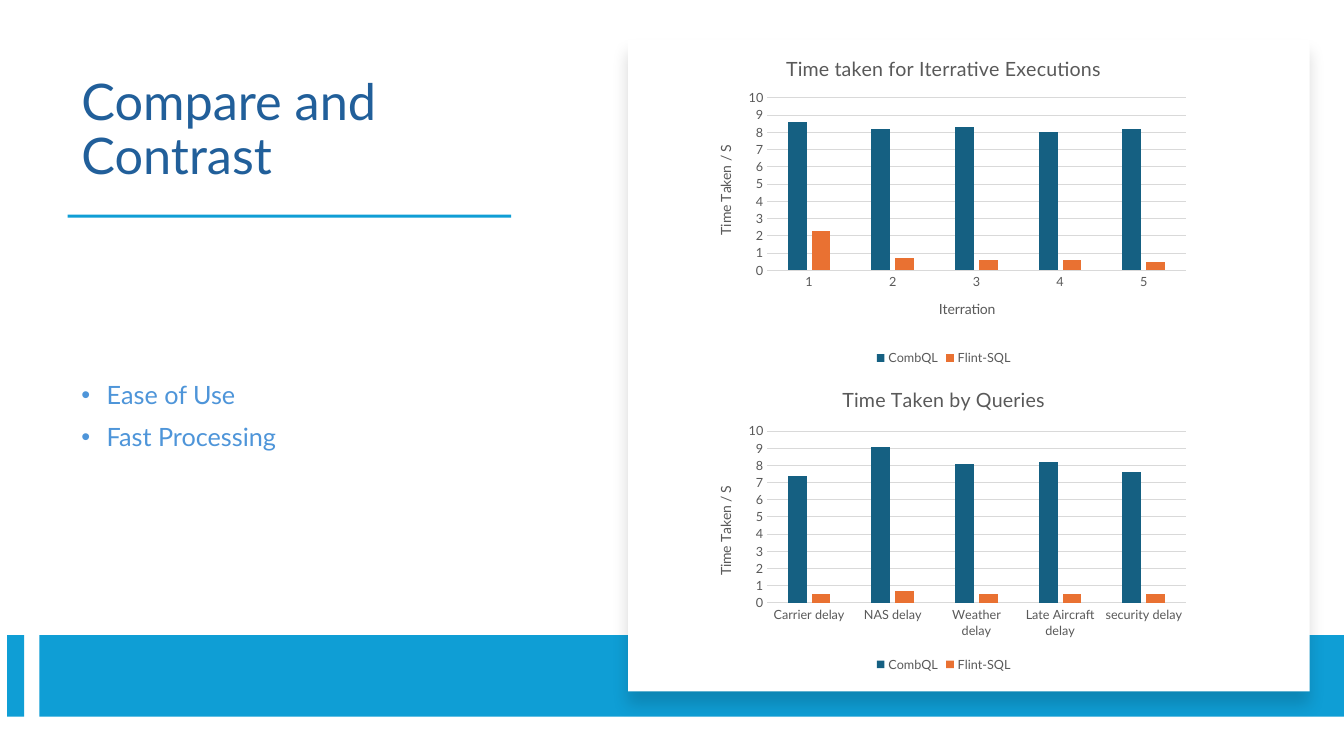
"""Build the slide that compares query times in two column charts."""
from dataclasses import dataclass

from pptx import Presentation
from pptx.chart.data import CategoryChartData as ChartData
from pptx.dml.color import RGBColor as Color
from pptx.enum.chart import XL_CHART_TYPE as Kind
from pptx.enum.chart import XL_LEGEND_POSITION as Place
from pptx.enum.chart import XL_TICK_MARK as Tick
from pptx.enum.shapes import MSO_SHAPE as Form
from pptx.enum.text import MSO_ANCHOR as Anchor
from pptx.oxml import parse_xml
from pptx.oxml.ns import nsdecls
from pptx.util import Emu, Pt


@dataclass(frozen=True)
class Theme:
    """Colours, font and type sizes."""
    face: str = "Lato"
    title: str = "215F9A"
    body: str = "4E95D9"
    bar: str = "0F9ED5"
    card: str = "FFFFFF"
    label: str = "595959"
    grid: str = "D9D9D9"
    series: tuple = ("156082", "E97132")
    head: int = 36
    item: int = 18
    name: int = 14
    axis: int = 10
    tick: int = 9


LOOK = Theme()
SCALE = 9144


def px(*nums):
    """Turn lengths in px into EMU."""
    return [Emu(num * SCALE) for num in nums]


def apply(item, **form):
    """Set each given value on an item."""
    for key, value in form.items():
        setattr(item, key, value)


def style(font, size, tone):
    """Give a font its face, size and colour."""
    apply(font, name=LOOK.face, size=Pt(size), bold=False)
    font.color.rgb = Color.from_string(tone)


def add_box(slide, box, tone):
    """Add a plain filled rectangle."""
    shape = slide.shapes.add_shape(Form.RECTANGLE, *px(*box))
    shape.shadow.inherit = False
    shape.fill.solid()
    shape.fill.fore_color.rgb = Color.from_string(tone)
    shape.line.fill.background()
    return shape


def add_shade(shape):
    """Give a shape a soft shadow below it."""
    props = shape.element.spPr
    for old in props.xpath("a:effectLst"):
        props.remove(old)
    props.append(parse_xml(
        f'<a:effectLst {nsdecls("a")}><a:outerShdw blurRad="{Pt(11)}" '
        f'dist="{Pt(10)}" dir="5400000" algn="t" rotWithShape="0">'
        '<a:srgbClr val="000000"><a:alpha val="15000"/></a:srgbClr>'
        '</a:outerShdw></a:effectLst>'))


def add_dot(para):
    """Put a hanging bullet on a paragraph."""
    props = para._p.get_or_add_pPr()
    props.set("marL", str(25 * SCALE))
    props.set("indent", str(-25 * SCALE))
    props.append(parse_xml(f'<a:buFont {nsdecls("a")} typeface="Arial"/>'))
    props.append(parse_xml(f'<a:buChar {nsdecls("a")} char="•"/>'))


def add_text(slide, box, lines, size, tone, anchor, gap=0, dots=False):
    """Add a wrapped text box with one paragraph a line."""
    frame = slide.shapes.add_textbox(*px(*box)).text_frame
    apply(frame, word_wrap=True, vertical_anchor=anchor)
    for index, line in enumerate(lines):
        para = frame.add_paragraph() if index else frame.paragraphs[0]
        apply(para, line_spacing=0.9, space_before=Pt(gap))
        if dots:
            add_dot(para)
        run = para.add_run()
        run.text = line
        style(run.font, size, tone)


def set_name(title, text, size):
    """Write a chart or axis title."""
    frame = title.text_frame
    frame.text = text
    style(frame.paragraphs[0].runs[0].font, size, LOOK.label)


def set_plot(chart, top, high):
    """Fix the inner plot area as shares of the chart."""
    area = chart.element.xpath("c:chart/c:plotArea")[0]
    for old in area.xpath("c:layout"):
        area.remove(old)
    parts = {"x": 0.15, "y": top, "w": 0.83, "h": high}
    rows = "".join(f'<c:{key} val="{num}"/>' for key, num in parts.items())
    area.insert(0, parse_xml(
        f'<c:layout {nsdecls("c")}><c:manualLayout>'
        '<c:layoutTarget val="inner"/><c:xMode val="edge"/>'
        f'<c:yMode val="edge"/>{rows}</c:manualLayout></c:layout>'))


def set_axes(chart, below):
    """Format both axes and the grid."""
    cats, vals = chart.category_axis, chart.value_axis
    apply(vals, minimum_scale=0, maximum_scale=10, major_unit=1,
          has_major_gridlines=True)
    for axis, text in ((cats, below), (vals, "Time Taken / S")):
        apply(axis, major_tick_mark=Tick.NONE, minor_tick_mark=Tick.NONE,
              has_title=bool(text))
        style(axis.tick_labels.font, LOOK.tick, LOOK.label)
        if text:
            set_name(axis.axis_title, text, LOOK.axis)
    for line in (cats.format.line, vals.major_gridlines.format.line):
        line.width = Pt(0.75)
        line.color.rgb = Color.from_string(LOOK.grid)
    vals.format.line.fill.background()


def add_bars(slide, box, title, cats, first, second, plot, below=""):
    """Add a column chart of the two engines."""
    data = ChartData()
    data.categories = cats
    data.add_series("CombQL", first)
    data.add_series("Flint-SQL", second)
    chart = slide.shapes.add_chart(
        Kind.COLUMN_CLUSTERED, *px(*box), data).chart
    style(chart.font, LOOK.axis, LOOK.label)
    apply(chart, has_title=True, has_legend=True)
    set_name(chart.chart_title, title, LOOK.name)
    apply(chart.legend, position=Place.BOTTOM, include_in_layout=False)
    style(chart.legend.font, LOOK.tick, LOOK.label)
    set_axes(chart, below)
    set_plot(chart, *plot)
    bars = chart.plots[0]
    apply(bars, gap_width=219, overlap=-27, vary_by_categories=False)
    for row, tone in zip(bars.series, LOOK.series):
        row.format.fill.solid()
        row.format.fill.fore_color.rgb = Color.from_string(tone)


def main():
    """Build and save the slide."""
    deck = Presentation()
    wide, high = px(1333, 750)
    apply(deck, slide_width=wide, slide_height=high)
    slide = deck.slides.add_slide(deck.slide_layouts[6])
    add_text(slide, (71, 58, 492, 131), ["Compare and Contrast"],
             LOOK.head, LOOK.title, Anchor.BOTTOM)
    add_text(slide, (71, 222, 468, 384), ["Ease of Use", "Fast Processing"],
             LOOK.item, LOOK.body, Anchor.MIDDLE, gap=10, dots=True)
    for box in ((67, 213, 440, 3), (7, 630, 17, 81), (39, 630, 1294, 81)):
        add_box(slide, box, LOOK.bar)
    add_shade(add_box(slide, (623, 39, 676, 647), LOOK.card))
    add_bars(slide, (686, 367, 500, 304), "Time Taken by Queries",
             ["Carrier delay", "NAS delay", "Weather delay",
              "Late Aircraft delay", "security delay"],
             [7.4, 9.1, 8.1, 8.2, 7.6], [0.5, 0.7, 0.5, 0.5, 0.5],
             (0.2, 0.56))
    add_bars(slide, (686, 38, 500, 329),
             "Time taken for Iterrative Executions",
             ["1", "2", "3", "4", "5"],
             [8.6, 8.2, 8.3, 8, 8.2], [2.3, 0.7, 0.6, 0.6, 0.5],
             (0.18, 0.52), below="Iterration")
    deck.save("out.pptx")


if __name__ == "__main__":
    main()
